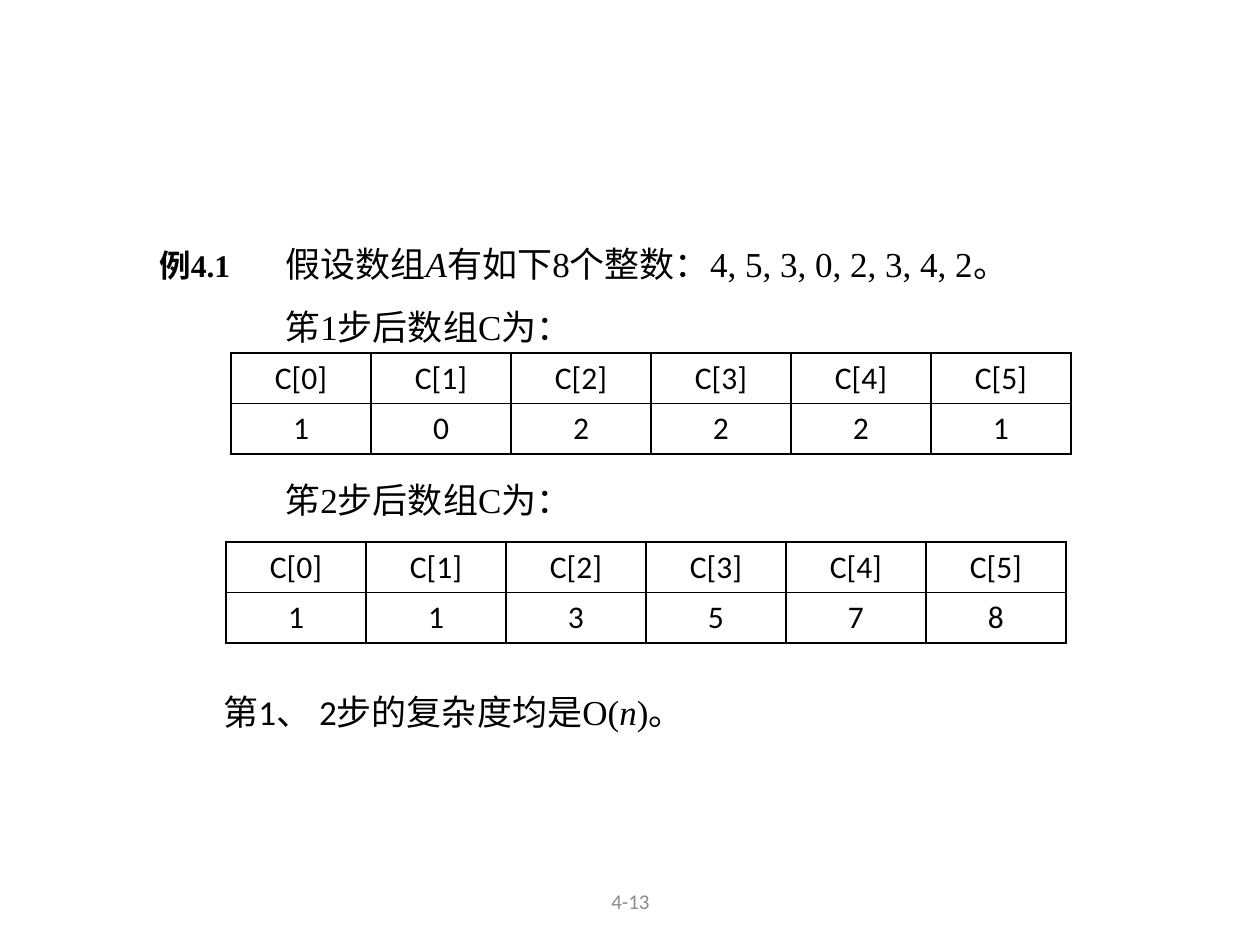
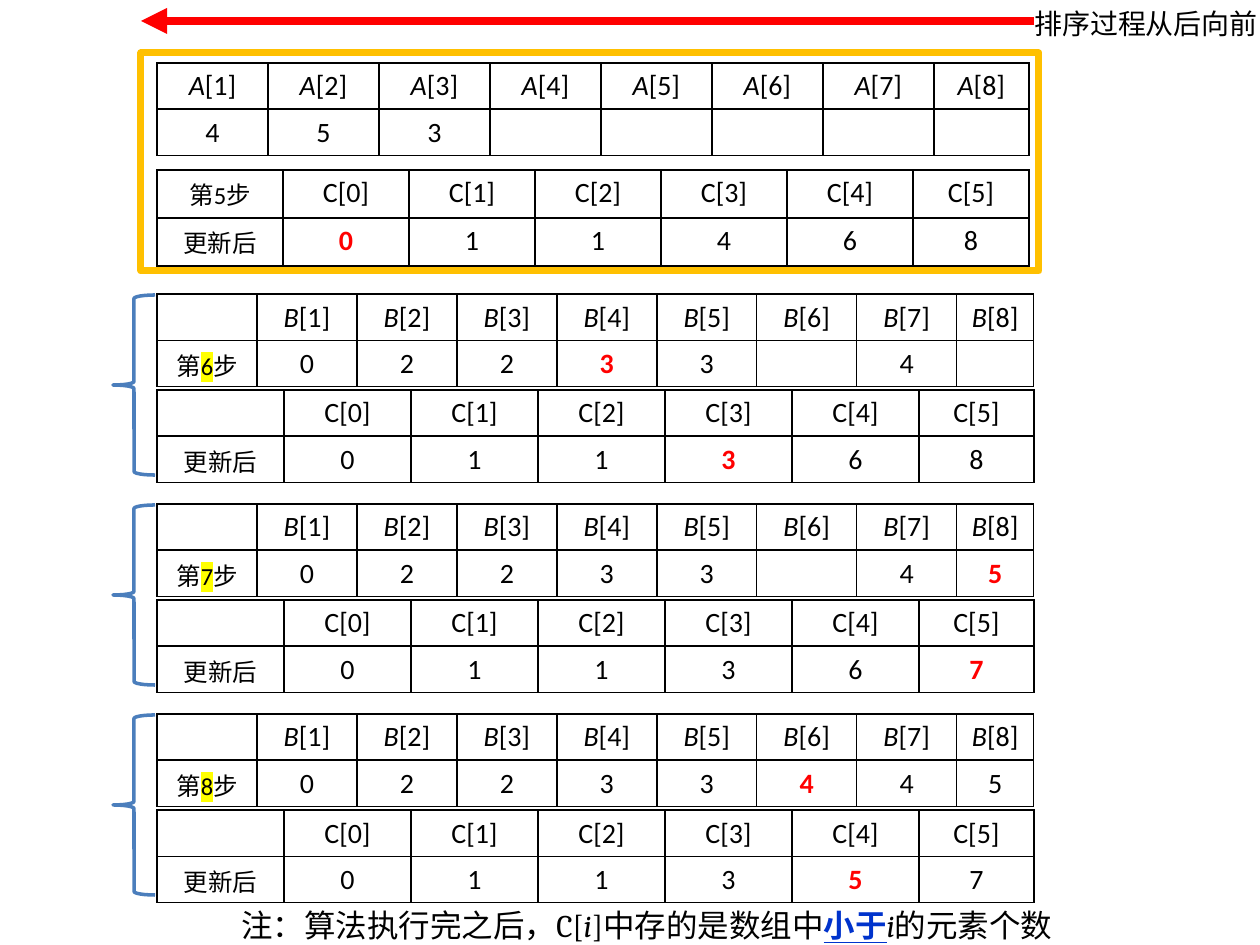
from lxml import etree
from pptx import Presentation
from pptx import util as u
from pptx.dml.color import RGBColor
from pptx.enum import shapes, text
from pptx.oxml import ns

EMU_PER_PX = 914400 / 126
BLACK, GRAY, RED = "000000", "8C8C8C", "FF0000"
ORANGE, BLUE, LINK_BLUE, YELLOW = "FFC000", "4B7EBC", "0033CC", "FFFF00"
BODY_FONT, CJK_FONT = "Calibri", "Noto Sans CJK SC"
SERIF_FONT, NOTE_FONT = "Times New Roman", "Cambria"

TABLE_LEFT = 157
STEP_TOP, STEP_PITCH = 294, 210
STEPS = [
    # step, B values, C values, index changed in B, index changed in C
    ("6", ["0", "2", "2", "3", "3", "", "4", ""], "011368", 3, 3),
    ("7", ["0", "2", "2", "3", "3", "", "4", "5"], "011367", 7, 5),
    ("8", ["0", "2", "2", "3", "3", "4", "4", "5"], "011357", 5, 4),
]


def px(length):
    return u.Emu(round(length * EMU_PER_PX))


def color(value):
    return RGBColor.from_string(value)


def sub(parent, tag, **attributes):
    return etree.SubElement(parent, ns.qn(tag), attributes)


def add_runs(paragraph, runs):
    """Runs are a string, or a list of (text, overrides) pairs."""
    if isinstance(runs, str):
        runs = [(runs, {})] if runs else []
    for content, overrides in runs:
        run = paragraph.add_run()
        run.text = content
        for name, value in overrides.items():
            if name == "color":
                run.font.color.rgb = color(value)
            elif name == "highlight":
                highlight = sub(run._r.get_or_add_rPr(), "a:highlight")
                sub(highlight, "a:srgbClr", val=value)
            elif name == "east_asian":
                sub(run._r.get_or_add_rPr(), "a:ea", typeface=value)
            else:
                setattr(run.font, name, value)


def write(paragraph, runs, size, font=BODY_FONT, ink=BLACK, align=text.PP_ALIGN.LEFT):
    paragraph.alignment = align
    paragraph.font.size = u.Pt(size)
    paragraph.font.name = font
    paragraph.font.color.rgb = color(ink)
    add_runs(paragraph, runs)


def add_text_box(slide, left, top, width, height):
    frame = slide.shapes.add_textbox(px(left), px(top), px(width), px(height)).text_frame
    frame.word_wrap = True
    return frame


def add_borders(cell):
    properties = cell._tc.get_or_add_tcPr()
    for position, side in enumerate(("a:lnL", "a:lnR", "a:lnT", "a:lnB")):
        line = etree.Element(ns.qn(side), {"w": str(u.Pt(1))})
        sub(sub(line, "a:solidFill"), "a:srgbClr", val=BLACK)
        properties.insert(position, line)


def add_grid(slide, left, top, width, column, rows, row_height, size, label_size=None):
    """Equal columns, the last one taking what remains of the width."""
    count = len(rows[0])
    table = slide.shapes.add_table(
        len(rows), count, px(left), px(top), px(width), px(row_height * len(rows))).table
    table.first_row = table.horz_banding = False
    for index in range(count):
        last = index == count - 1
        table.columns[index].width = px(width - column * index if last else column)
    for row_index, row in enumerate(rows):
        table.rows[row_index].height = px(row_height)
        for column_index, runs in enumerate(row):
            cell = table.cell(row_index, column_index)
            cell.fill.background()
            add_borders(cell)
            paragraph = cell.text_frame.paragraphs[0]
            is_label = label_size and column_index == 0
            points = label_size if is_label else size
            write(paragraph, runs, points, align=text.PP_ALIGN.CENTER)
            if not runs:
                sub(paragraph._p, "a:endParaRPr", sz=str(points * 100))


def add_outline(slide, kind, left, top, width, height, ink, weight):
    shape = slide.shapes.add_shape(kind, px(left), px(top), px(width), px(height))
    shape.shadow.inherit = False
    shape.fill.background()
    shape.line.color.rgb = color(ink)
    shape.line.width = u.Pt(weight)


def add_arrow(slide, start_x, end_x, y, ink, weight):
    arrow = slide.shapes.add_connector(
        shapes.MSO_CONNECTOR.STRAIGHT, px(start_x), px(y), px(end_x), px(y))
    arrow.line.color.rgb = color(ink)
    arrow.line.width = u.Pt(weight)
    sub(arrow.line._get_or_add_ln(), "a:tailEnd", type="triangle")
    sub(arrow._element.spPr, "a:effectLst")


def c_header():
    return [f"C[{index}]" for index in range(6)]


def italic_header(name):
    return [[(name, {"italic": True}), (f"[{index}]", {})] for index in range(1, 9)]


def mark(values, changed):
    """Show the value at the changed index in bold red."""
    return [[(value, {"bold": True, "color": RED})] if index == changed else value
            for index, value in enumerate(values)]


def build_example_slide(slide):
    number = add_text_box(slide, 431, 876, 399, 50)
    number.vertical_anchor = text.MSO_ANCHOR.MIDDLE
    write(number.paragraphs[0], "4-13", 12, ink=GRAY, align=text.PP_ALIGN.CENTER)

    italic = {"italic": True}
    lines = [
        # runs, left margin in px, space before in points
        ([("例4.1\t", {"bold": True, "size": u.Pt(18)}), ("假设数组", {}), ("A", italic),
          ("有如下8个整数：4, 5, 3, 0, 2, 3, 4, 2。", {})], 0, 0),
        ("笫1步后数组C为：", 126, 0),
        ("笫2步后数组C为：", 126, 63),
        ([("第1、 2", {"name": BODY_FONT}),
          ("步的复杂度均是", {"name": CJK_FONT, "east_asian": CJK_FONT}),
          ("O(", {}), ("n", italic), (")", {}), ("。", {"name": BODY_FONT})], 64, 85),
    ]
    body = add_text_box(slide, 147, 215, 998, 527)
    for index, (runs, margin, space) in enumerate(lines):
        paragraph = body.add_paragraph() if index else body.paragraphs[0]
        paragraph.line_spacing = u.Pt(36)
        paragraph.space_before = u.Pt(space)
        write(paragraph, runs, 20, SERIF_FONT)
        properties = paragraph._p.get_or_add_pPr()
        properties.set("marL", str(px(margin)))
        properties.set("indent", "0")

    for left, top, counts in ((231, 353, "102221"), (226, 542, "113578")):
        add_grid(slide, left, top, 840, 140, [c_header(), list(counts)], 50, 18)


def build_sorting_slide(slide):
    add_grid(slide, TABLE_LEFT, 63, 872, 111,
             [italic_header("A"), ["4", "5", "3"] + [""] * 5], 46, 16)
    add_grid(slide, TABLE_LEFT, 170, 872, 126,
             [["第5步"] + c_header(), ["更新后"] + mark("011468", 0)], 48, 16, 14)
    add_outline(slide, shapes.MSO_SHAPE.RECTANGLE, 141, 53, 898, 218, ORANGE, 4)

    for index, (step, b_values, c_values, b_changed, c_changed) in enumerate(STEPS):
        top = STEP_TOP + index * STEP_PITCH
        label = [("第", {}), (step, {"highlight": YELLOW}), ("步", {})]
        add_grid(slide, TABLE_LEFT, top, 877, 100,
                 [[""] + italic_header("B"), [label] + mark(b_values, b_changed)],
                 46, 16, 14)
        add_grid(slide, TABLE_LEFT, top + 96, 877, 127,
                 [[""] + c_header(), ["更新后"] + mark(c_values, c_changed)],
                 46, 16, 14)
        add_outline(slide, shapes.MSO_SHAPE.LEFT_BRACE, 113, top + 1, 42, 180, BLUE, 2)

    italic = {"italic": True}
    note = add_text_box(slide, 229, 900, 882, 50)
    write(note.paragraphs[0], [
        ("注：算法执行完之后，C[", {}), ("i", italic), ("]中存的是数组中", {}),
        ("小于", {"name": CJK_FONT, "east_asian": CJK_FONT, "color": LINK_BLUE,
                "bold": True, "underline": True}),
        ("i", italic), ("的元素个数", {})], 18, NOTE_FONT)

    add_arrow(slide, 1034, 141, 21, RED, 5)
    direction = add_text_box(slide, 1022, 0, 257, 47)
    write(direction.paragraphs[0], "排序过程从后向前", 16)


def main():
    presentation = Presentation()
    presentation.slide_width, presentation.slide_height = px(1260), px(945)
    blank = presentation.slide_layouts[6]
    for build in (build_example_slide, build_sorting_slide):
        build(presentation.slides.add_slide(blank))
    presentation.save("out.pptx")


if __name__ == "__main__":
    main()
